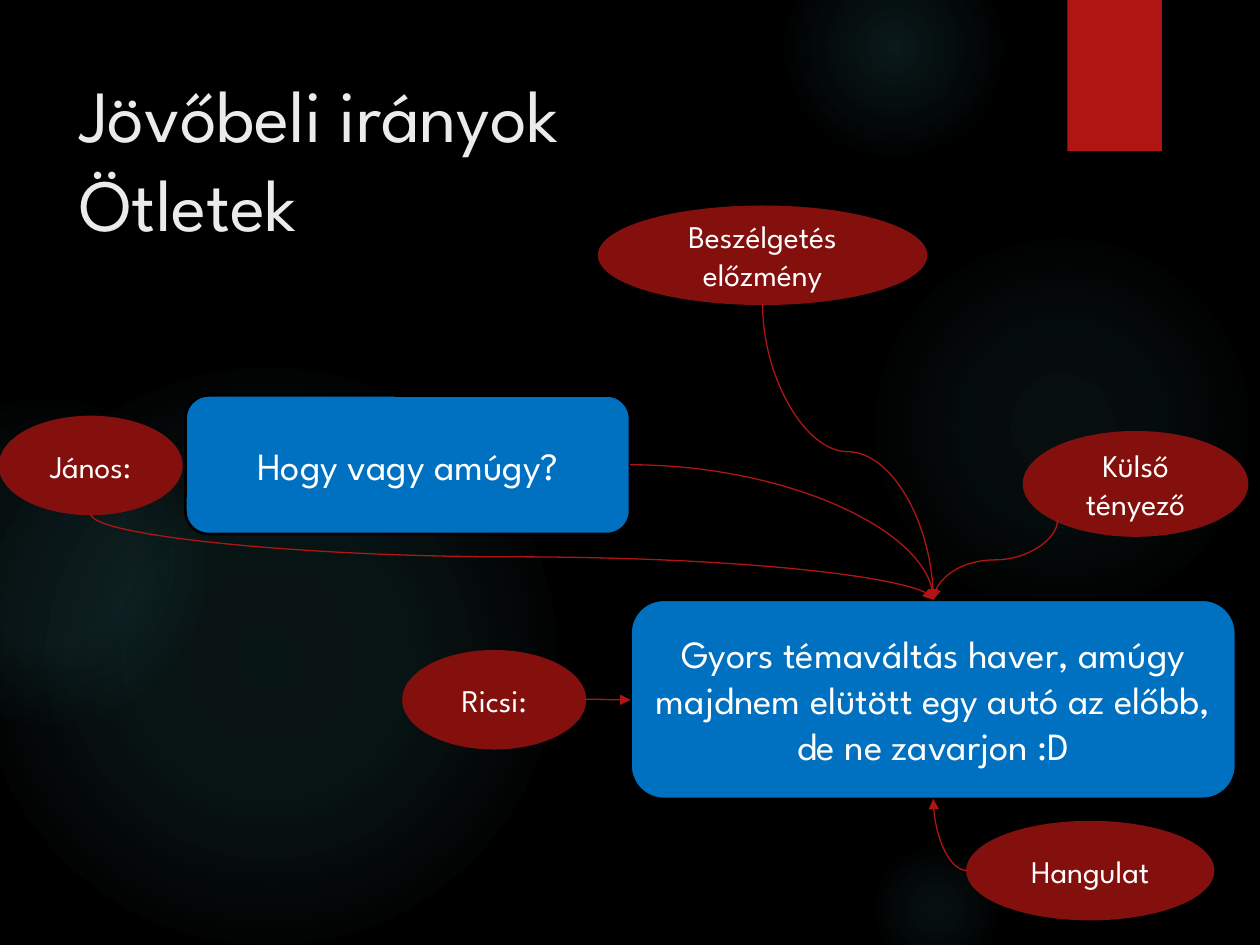
from dataclasses import dataclass

from lxml.etree import SubElement
from pptx import Presentation
from pptx.dml.color import RGBColor
from pptx.enum.shapes import MSO_CONNECTOR as Connector, MSO_SHAPE as Shape
from pptx.enum.text import MSO_ANCHOR as Anchor, PP_ALIGN as Align
from pptx.oxml import parse_xml
from pptx.oxml.ns import nsdecls, qn
from pptx.util import Pt

FONT = "League Spartan"
BLACK = RGBColor(0x00, 0x00, 0x00)
WHITE = RGBColor(0xFF, 0xFF, 0xFF)
TITLE_GREY = RGBColor(0xEB, 0xEB, 0xEB)
RED = RGBColor(0xB0, 0x15, 0x13)
DARK_RED = RGBColor(0x84, 0x10, 0x0E)
DARK_RED_LINE = RGBColor(0x82, 0x10, 0x0E)
BLUE = RGBColor(0x00, 0x70, 0xC0)
TEAL = RGBColor(0x50, 0xB9, 0xC1)

# Connection sites as fractions of a box's width and height
TOP, BOTTOM, LEFT, RIGHT = (0.5, 0), (0.5, 1), (0, 0.5), (1, 0.5)
LOWER_LEFT = (0.15, 0.85)


@dataclass(frozen=True)
class Glow:
    """A soft circle; stops are (position, opacity) in percent."""
    left: float
    top: float
    size: float
    stops: tuple


@dataclass(frozen=True)
class Style:
    shape: Shape
    fill: RGBColor
    line: RGBColor
    size: float


@dataclass(frozen=True)
class Node:
    text: str
    style: Style
    left: float
    top: float
    width: float
    height: float

    def site(self, fraction):
        return (self.left + fraction[0] * self.width,
                self.top + fraction[1] * self.height)


@dataclass(frozen=True)
class Link:
    start: Node
    start_site: tuple
    end: Node
    end_site: tuple
    bends: int


MESSAGE = Style(Shape.ROUNDED_RECTANGLE, BLUE, BLACK, 22)
FACTOR = Style(Shape.OVAL, DARK_RED, DARK_RED_LINE, 18)

GLOWS = (
    Glow(496, 132, 222, ((0, 7), (36, 6), (69, 0))),
    Glow(448, -36, 126, ((0, 14), (36, 7), (73, 0))),
    Glow(496, 480, 78, ((0, 9), (36, 5), (66, 0))),
    Glow(-12, 210, 330, ((0, 11), (36, 10), (75, 0))),
    Glow(-66, 228, 186, ((0, 8), (36, 8), (72, 0))),
)

QUESTION = Node("Hogy vagy amúgy?", MESSAGE, 106, 226, 254, 79.2)
ANSWER = Node("Gyors témaváltás haver, amúgy majdnem elütött egy autó az előbb, "
              "de ne zavarjon :D", MESSAGE, 360.3, 342.7, 346, 113.8)
OUTSIDE = Node("Külső tényező", FACTOR, 585.2, 247, 127.4, 59)
JANOS = Node("János:", FACTOR, 0, 238.3, 103.7, 55.4)
RICSI = Node("Ricsi:", FACTOR, 230.6, 372.2, 103.7, 55.4)
HISTORY = Node("Beszélgetés előzmény", FACTOR, 342.4, 118.2, 186.8, 55.4)
MOOD = Node("Hangulat", FACTOR, 552.8, 469.8, 140.4, 55.4)
NODES = (QUESTION, ANSWER, OUTSIDE, JANOS, RICSI, HISTORY, MOOD)

LINKS = (
    Link(JANOS, BOTTOM, ANSWER, TOP, 2),
    Link(QUESTION, RIGHT, ANSWER, TOP, 1),
    Link(MOOD, LEFT, ANSWER, BOTTOM, 1),
    Link(RICSI, RIGHT, ANSWER, LEFT, 2),
    Link(OUTSIDE, LOWER_LEFT, ANSWER, TOP, 2),
    Link(HISTORY, BOTTOM, ANSWER, TOP, 2),
)


def format_runs(frame, size: float, color: RGBColor):
    for para in frame.paragraphs:
        for span in para.runs:
            span.font.name = FONT
            span.font.size = Pt(size)
            span.font.color.rgb = color


def draw_glow(page, glow: Glow):
    circle = page.shapes.add_shape(Shape.OVAL, Pt(glow.left), Pt(glow.top),
                                   Pt(glow.size), Pt(glow.size))
    circle.shadow.inherit = False
    circle.line.fill.background()
    circle.fill.background()
    stops = "".join(
        f'<a:gs pos="{position * 1000}"><a:srgbClr val="{TEAL}">'
        f'<a:alpha val="{opacity * 1000}"/></a:srgbClr></a:gs>'
        for position, opacity in glow.stops)
    gradient = parse_xml(
        f'<a:gradFill {nsdecls("a")}><a:gsLst>{stops}</a:gsLst><a:path path="circle">'
        '<a:fillToRect l="50000" t="50000" r="50000" b="50000"/></a:path></a:gradFill>')
    properties = circle.element.spPr
    properties.replace(properties.find(qn("a:noFill")), gradient)


def draw_ribbon(page):
    ribbon = page.shapes.add_shape(Shape.RECTANGLE, Pt(610), Pt(0), Pt(54), Pt(86.4))
    ribbon.shadow.inherit = False
    ribbon.fill.solid()
    ribbon.fill.fore_color.rgb = RED
    ribbon.line.fill.background()


def draw_title(page):
    title = page.shapes.title
    title.left, title.top, title.width, title.height = Pt(38), Pt(36), Pt(556), Pt(110)
    frame = title.text_frame
    frame.text = "Jövőbeli irányok\vÖtletek"
    frame.vertical_anchor = Anchor.TOP
    frame.paragraphs[0].alignment = Align.LEFT
    format_runs(frame, 42, TITLE_GREY)
    page.shapes.element.append(title.element)  # bring in front of the backdrop


def draw_node(page, node: Node):
    style = node.style
    box = page.shapes.add_shape(style.shape, Pt(node.left), Pt(node.top),
                                Pt(node.width), Pt(node.height))
    box.shadow.inherit = False
    box.fill.solid()
    box.fill.fore_color.rgb = style.fill
    box.line.color.rgb = style.line
    box.line.width = Pt(1.5)
    frame = box.text_frame
    frame.text = node.text
    frame.word_wrap = True
    frame.vertical_anchor = Anchor.MIDDLE
    frame.paragraphs[0].alignment = Align.CENTER
    format_runs(frame, style.size, WHITE)


def draw_link(page, link: Link):
    """Draw a curved arrow, turned so that it leaves its start square to the edge."""
    x1, y1 = link.start.site(link.start_site)
    x2, y2 = link.end.site(link.end_site)
    width, height = abs(x2 - x1), abs(y2 - y1)
    middle_x, middle_y = (x1 + x2) / 2, (y1 + y2) / 2
    leaves_down = link.start_site in (BOTTOM, LOWER_LEFT)
    mirrored = leaves_down and x2 > x1
    if leaves_down:
        width, height = height, width
        turn = 270 if mirrored else 90
    else:
        turn = 180 if x2 < x1 else 0
    left, top = middle_x - width / 2, middle_y - height / 2

    arrow = page.shapes.add_connector(Connector.CURVE, Pt(left), Pt(top),
                                      Pt(left + width), Pt(top + height))
    arrow.line.color.rgb = RED
    arrow.line.width = Pt(0.75)
    properties = arrow.element.spPr
    properties.find(qn("a:prstGeom")).set("prst", f"curvedConnector{link.bends + 1}")
    transform = properties.find(qn("a:xfrm"))
    transform.set("rot", str(turn * 60000))
    if mirrored:
        transform.set("flipH", "1")
    SubElement(properties.find(qn("a:ln")), qn("a:tailEnd")).set("type", "triangle")
    SubElement(properties, qn("a:effectLst"))


def main():
    deck = Presentation()
    deck.slide_width, deck.slide_height = Pt(720), Pt(540)
    page = deck.slides.add_slide(deck.slide_layouts.get_by_name("Title Only"))
    page.background.fill.solid()
    page.background.fill.fore_color.rgb = BLACK
    for glow in GLOWS:
        draw_glow(page, glow)
    draw_ribbon(page)
    draw_title(page)
    for node in NODES:
        draw_node(page, node)
    for link in LINKS:
        draw_link(page, link)
    deck.save("out.pptx")


if __name__ == "__main__":
    main()
